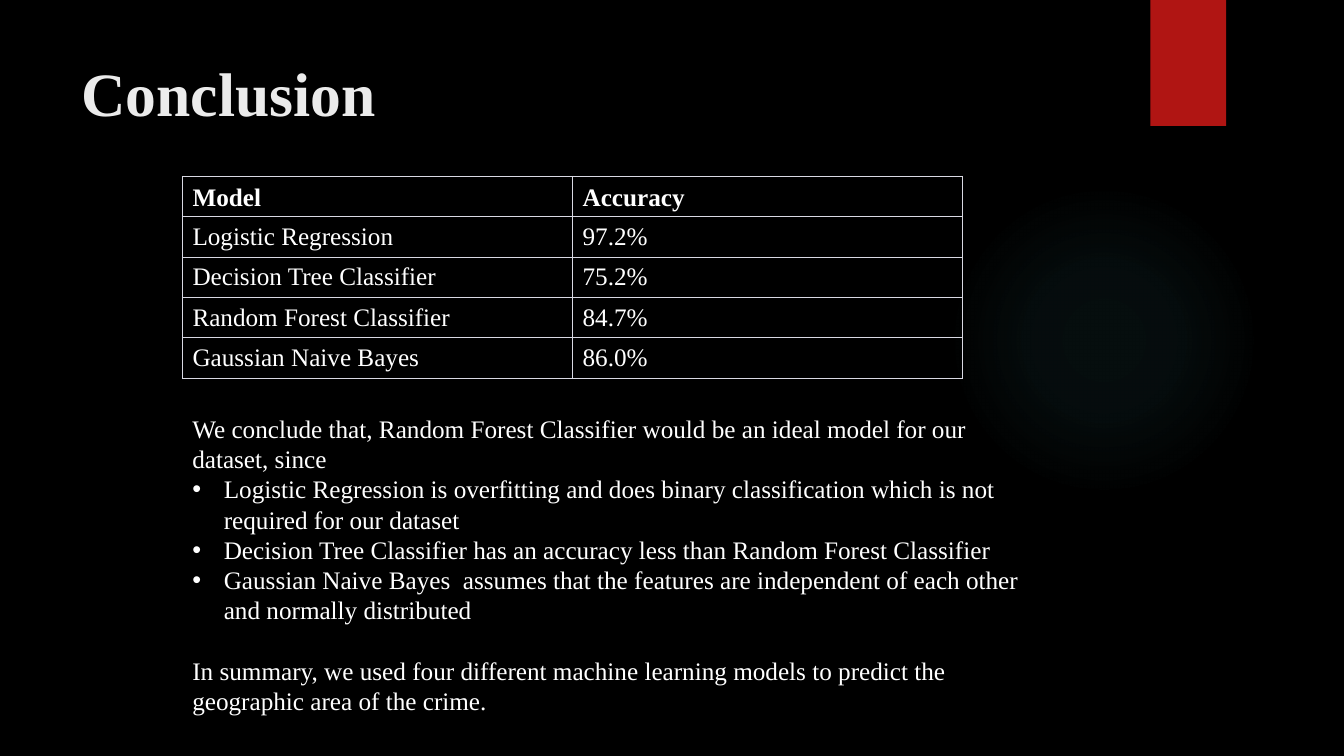
"""Build the conclusion slide comparing the accuracy of four crime models."""
from lxml.etree import SubElement
from pptx import Presentation
from pptx.dml.color import RGBColor
from pptx.enum.shapes import MSO_SHAPE
from pptx.enum.text import MSO_ANCHOR
from pptx.oxml import parse_xml
from pptx.oxml.ns import nsdecls, qn
from pptx.util import Pt

BLACK = RGBColor(0x00, 0x00, 0x00)
WHITE = RGBColor(0xFF, 0xFF, 0xFF)
TITLE_GREY = RGBColor(0xEB, 0xEB, 0xEB)
RED = RGBColor(0xB0, 0x15, 0x13)
TEAL = RGBColor(0x50, 0xB9, 0xC1)
GRID_GREY = RGBColor(0xD9, 0xD9, 0xE3)

GLOW_STOPS = [(0, 7), (36, 6), (69, 0)]
ACCURACIES = [
    ("Model", "Accuracy"),
    ("Logistic Regression", "97.2%"),
    ("Decision Tree Classifier", "75.2%"),
    ("Random Forest Classifier", "84.7%"),
    ("Gaussian Naive Bayes", "86.0%"),
]
OPENING = ("We conclude that, Random Forest Classifier would be an ideal model "
           "for our dataset, since")
REASONS = [
    "Logistic Regression is overfitting and does binary classification "
    "which is not required for our dataset",
    "Decision Tree Classifier has an accuracy less than Random Forest Classifier",
    "Gaussian Naive Bayes  assumes that the features are independent of "
    "each other and normally distributed",
]
SUMMARY = ("In summary, we used four different machine learning models to "
           "predict the geographic area of the crime.")


class SlideBuilder:
    """Hold the text style and the current slide."""

    font = "Times New Roman"
    size = 18
    indent = 22.5

    def __init__(self, slide):
        self.slide = slide
        slide.background.fill.solid()
        slide.background.fill.fore_color.rgb = BLACK

    def add_words(self, paragraph, words, size=size, color=WHITE, bold=False):
        """Add one styled run to a paragraph."""
        run = paragraph.add_run()
        run.text = words
        run.font.name = self.font
        run.font.size = Pt(size)
        run.font.bold = bold
        run.font.color.rgb = color

    def text_frame(self, left, top, width, height):
        """Add a wrapping text box and return its frame."""
        box = self.slide.shapes.add_textbox(Pt(left), Pt(top), Pt(width), Pt(height))
        box.text_frame.word_wrap = True
        return box.text_frame

    def bullet(self, paragraph):
        """Give a paragraph a hanging round bullet."""
        properties = paragraph._p.get_or_add_pPr()
        properties.set("marL", str(Pt(self.indent)))
        properties.set("indent", str(-Pt(self.indent)))
        SubElement(properties, qn("a:buFont"), typeface="Arial")
        SubElement(properties, qn("a:buChar"), char="•")

    def shape(self, kind, left, top, width, height, color):
        """Add a flat, unoutlined preset shape."""
        shape = self.slide.shapes.add_shape(
            kind, Pt(left), Pt(top), Pt(width), Pt(height))
        shape.shadow.inherit = False
        shape.fill.solid()
        shape.fill.fore_color.rgb = color
        shape.line.fill.background()
        return shape

    def glow(self, left, top, diameter):
        """Add a circle that fades out towards its rim."""
        circle = self.shape(MSO_SHAPE.OVAL, left, top, diameter, diameter, TEAL)
        stops = "".join(
            f'<a:gs pos="{place * 1000}"><a:srgbClr val="{TEAL}">'
            f'<a:alpha val="{opacity * 1000}"/></a:srgbClr></a:gs>'
            for place, opacity in GLOW_STOPS)
        gradient = parse_xml(
            f'<a:gradFill {nsdecls("a")}><a:gsLst>{stops}</a:gsLst>'
            '<a:path path="circle"><a:fillToRect l="50000" t="50000" '
            'r="50000" b="50000"/></a:path></a:gradFill>')
        properties = circle._element.spPr
        properties.replace(properties.find(qn("a:solidFill")), gradient)

    def outline(self, cell):
        """Draw the four borders of a cell and leave it unfilled."""
        properties = cell._tc.get_or_add_tcPr()
        for side in ("lnL", "lnR", "lnT", "lnB"):
            border = SubElement(properties, qn(f"a:{side}"), w=str(Pt(0.75)))
            paint = SubElement(border, qn("a:solidFill"))
            SubElement(paint, qn("a:srgbClr"), val=str(GRID_GREY))
        cell.fill.background()

    def table(self, rows, left, top, width, row_height):
        """Add an outlined table whose first row is a bold header."""
        table = self.slide.shapes.add_table(
            len(rows), len(rows[0]), Pt(left), Pt(top),
            Pt(width), Pt(row_height * len(rows))).table
        table.horz_banding = False
        for row, entries in enumerate(rows):
            for column, entry in enumerate(entries):
                cell = table.cell(row, column)
                header = row == 0
                cell.vertical_anchor = MSO_ANCHOR.BOTTOM if header else MSO_ANCHOR.MIDDLE
                self.outline(cell)
                self.add_words(cell.text_frame.paragraphs[0], entry, bold=header)


def main():
    """Lay out the slide and save it."""
    deck = Presentation()
    deck.slide_width, deck.slide_height = Pt(960), Pt(540)
    builder = SlideBuilder(deck.slides.add_slide(deck.slide_layouts[6]))

    builder.glow(677.5, 131.8, 221.8)
    builder.shape(MSO_SHAPE.RECTANGLE, 821.8, 0, 54, 90, RED)

    title = builder.text_frame(51, 36, 741, 110)
    builder.add_words(title.paragraphs[0], "Conclusion", 44, TITLE_GREY, True)

    builder.table(ACCURACIES, 130.3, 126, 557.3, 28.8)

    findings = builder.text_frame(130.3, 291.6, 620, 226)
    builder.add_words(findings.paragraphs[0], OPENING)
    for reason in REASONS:
        point = findings.add_paragraph()
        builder.bullet(point)
        builder.add_words(point, reason)
    closing = findings.add_paragraph()
    closing.space_before = Pt(21.6)
    builder.add_words(closing, SUMMARY)

    deck.save("out.pptx")


if __name__ == "__main__":
    main()
